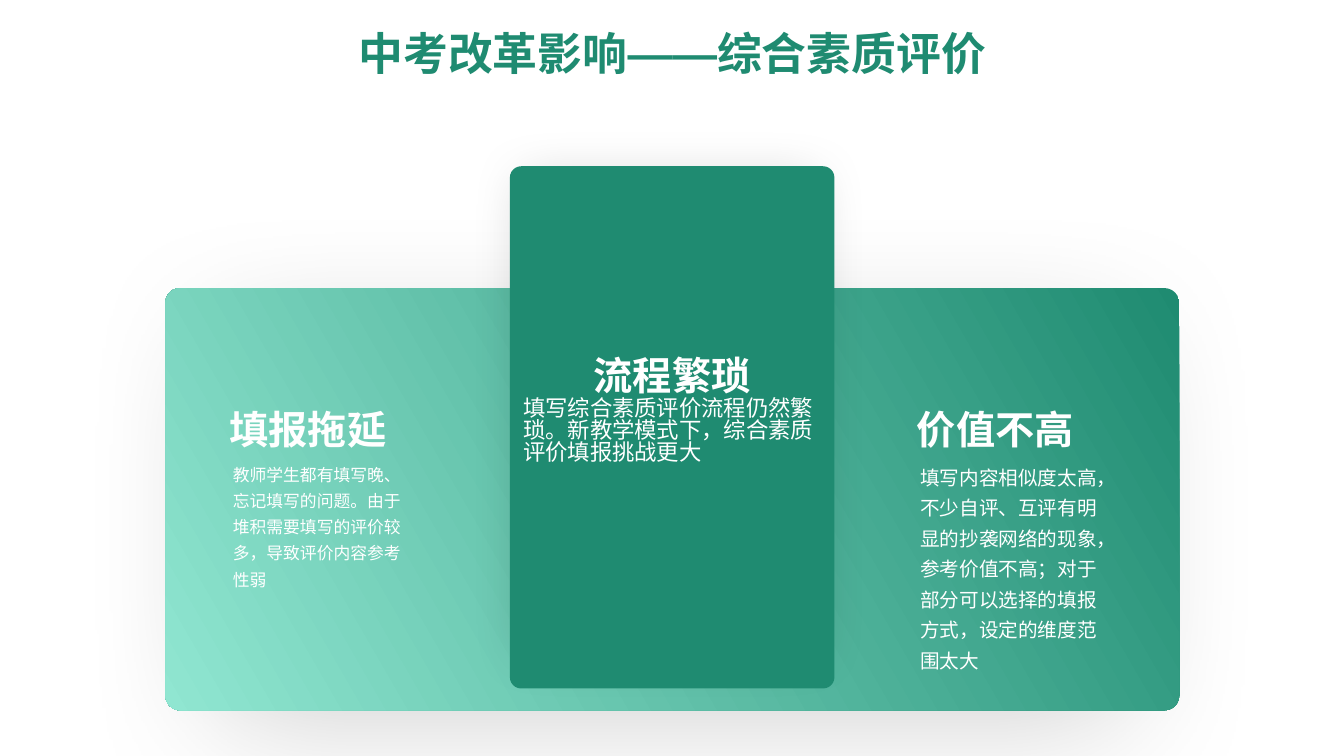
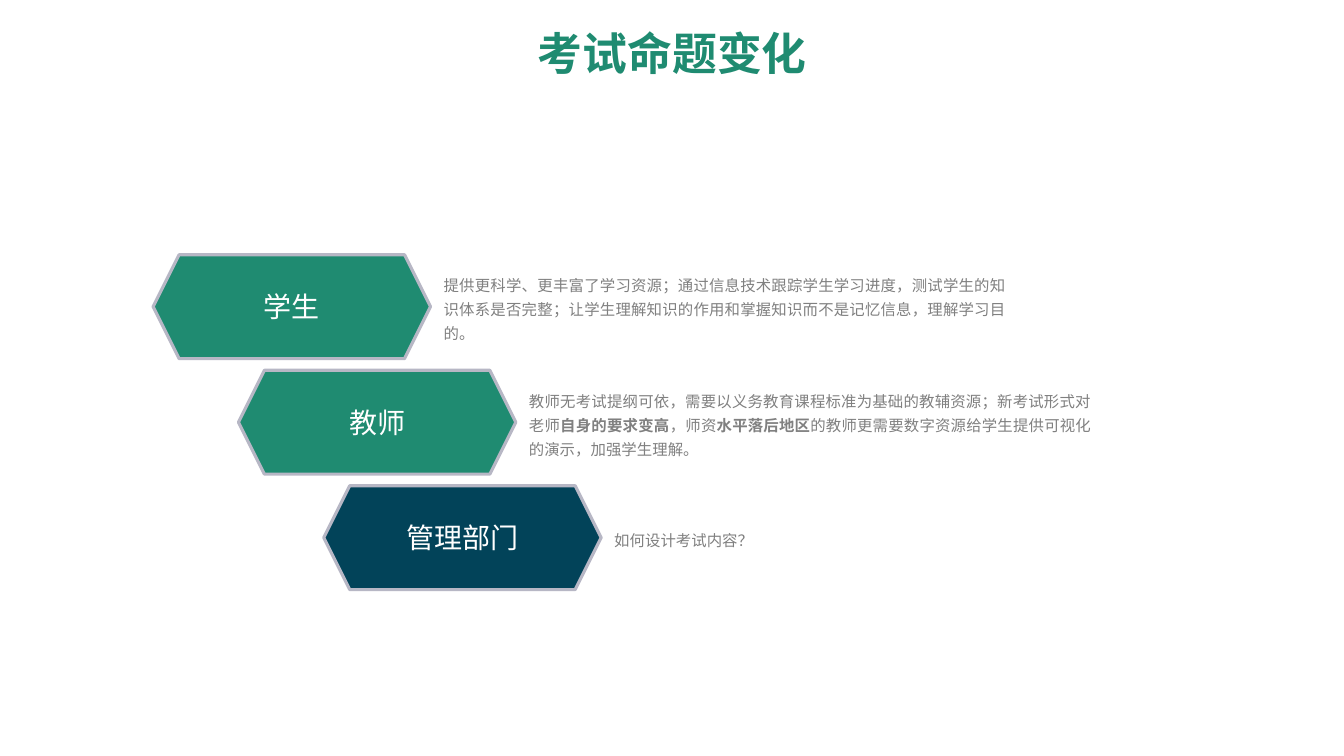
"""Build two slides on how the exam reform affects evaluation and test design."""
import lxml.etree
import pptx
import pptx.dml.color
import pptx.enum.shapes
import pptx.enum.text
import pptx.oxml.ns
import pptx.util

Cm = pptx.util.Cm
Pt = pptx.util.Pt
SHAPE = pptx.enum.shapes.MSO_SHAPE
ALIGN = pptx.enum.text.PP_ALIGN
ANCHOR = pptx.enum.text.MSO_ANCHOR
qn = pptx.oxml.ns.qn

COLORS = {
    "green": "1F8B71", "mint": "90E6D1", "navy": "024359", "white": "FFFFFF",
    "gray": "808080", "outline": "B7B7C5", "shadow": "000000",
}
TITLE_FONT = "Montserrat"
BODY_FONT = "Noto Sans CJK SC"
TITLE_BOX = (2.34, 0.58, 29.21, 1.68)

EVALUATION_TITLE = "中考改革影响——综合素质评价"
PANEL_BOX = (4.17, 7.26, 25.55, 10.64)
CARD_BOX = (12.85, 4.19, 8.18, 13.16)
CARD = ("流程繁琐", "填写综合素质评价流程仍然繁琐。新教学模式下，综合素质评价填报挑战更大")
SIDE_NOTES = [
    {"left": 5.54, "height": 3.53, "size": 12, "heading": "填报拖延",
     "body": "教师学生都有填写晚、忘记填写的问题。由于堆积需要填写的评价较多，导致评价内容参考性弱"},
    {"left": 22.86, "height": 6.4, "size": 14, "heading": "价值不高",
     "body": "填写内容相似度太高，不少自评、互评有明显的抄袭网络的现象，参考价值不高；"
             "对于部分可以选择的填报方式，设定的维度范围太大"},
]

EXAM_TITLE = "考试命题变化"
GROUPS = [
    {"name": "学生", "fill": "green", "height": 2.11, "runs": [
        ("提供更科学、更丰富了学习资源；通过信息技术跟踪学生学习进度，测试学生的知识体系是否完整；"
         "让学生理解知识的作用和掌握知识而不是记忆信息，理解学习目的。", False)]},
    {"name": "教师", "fill": "green", "height": 2.11, "runs": [
        ("教师无考试提纲可依，需要以义务教育课程标准为基础的教辅资源；新考试形式对老师", False),
        ("自身的要求变高", True),
        ("，师资", False),
        ("水平落后地区", True),
        ("的教师更需要数字资源给学生提供可视化的演示，加强学生理解。", False)]},
    {"name": "管理部门", "fill": "navy", "height": 0.89, "runs": [
        ("如何设计考试内容？", False)]},
]
HEX_LEFT, HEX_TOP, HEX_WIDTH, HEX_HEIGHT = 3.86, 6.42, 6.99, 2.62
STEP_X, STEP_Y = 2.15, 2.91
NOTE_WIDTH = 14.83


def rgb(name):
    return pptx.dml.color.RGBColor.from_string(COLORS[name])


def cm_box(box):
    return [Cm(value) for value in box]


def add_text(p, text, size, color="white", bold=False, font=BODY_FONT,
             align=None, spacing=None, after=None):
    """Append a formatted run to a paragraph."""
    if align is not None:
        p.alignment = align
    if spacing is not None:
        p.line_spacing = spacing
    if after is not None:
        p.space_after = Pt(after)
    r = p.add_run()
    r.text = text
    r.font.size = Pt(size)
    r.font.bold = bold
    r.font.name = font
    r.font.color.rgb = rgb(color)
    east_asian = lxml.etree.SubElement(r.font._element, qn("a:ea"))
    east_asian.set("typeface", font)


def pad(tf):
    tf.margin_left = tf.margin_right = Cm(0.33)
    tf.margin_top = tf.margin_bottom = Cm(0.18)


def add_titled_slide(prs, title):
    s = prs.slides.add_slide(prs.slide_layouts[5])
    sp = s.shapes.title
    sp.left, sp.top, sp.width, sp.height = cm_box(TITLE_BOX)
    tf = sp.text_frame
    tf.vertical_anchor = ANCHOR.MIDDLE
    add_text(tf.paragraphs[0], title, 32, color="green", bold=True,
             font=TITLE_FONT, align=ALIGN.CENTER, spacing=0.9)
    return s


def add_box(s, box):
    tf = s.shapes.add_textbox(*cm_box(box)).text_frame
    tf.word_wrap = True
    return tf


def add_panel(s, kind, box, fill=None):
    sp = s.shapes.add_shape(kind, *cm_box(box))
    sp.shadow.inherit = False
    sp.line.fill.background()
    if fill:
        sp.fill.solid()
        sp.fill.fore_color.rgb = rgb(fill)
    tf = sp.text_frame
    tf.word_wrap = True
    tf.vertical_anchor = ANCHOR.MIDDLE
    return sp


def add_shadow(sp, blur, distance):
    effects = sp._element.spPr.find(qn("a:effectLst"))
    outer = lxml.etree.SubElement(
        effects, qn("a:outerShdw"), blurRad=str(Pt(blur)), dist=str(Pt(distance)),
        dir="2700000", sx="90000", sy="90000", algn="tl", rotWithShape="0")
    color = lxml.etree.SubElement(outer, qn("a:srgbClr"), val=COLORS["shadow"])
    lxml.etree.SubElement(color, qn("a:alpha"), val="18000")


def build_evaluation(prs):
    s = add_titled_slide(prs, EVALUATION_TITLE)

    panel = add_panel(s, SHAPE.ROUNDED_RECTANGLE, PANEL_BOX)
    panel.fill.gradient()
    panel.fill.gradient_angle = 210
    for stop, name in zip(panel.fill.gradient_stops, ("green", "mint")):
        stop.color.rgb = rgb(name)
    card = add_panel(s, SHAPE.ROUNDED_RECTANGLE, CARD_BOX, "green")
    for sp, blur, distance in ((panel, 100, 51), (card, 38, 13)):
        sp.adjustments[0] = 0.035
        add_shadow(sp, blur, distance)

    tf = card.text_frame
    tf.margin_bottom = Cm(1.09)
    heading, body = CARD
    add_text(tf.paragraphs[0], heading, 28, bold=True, align=ALIGN.CENTER)
    add_text(tf.add_paragraph(), body, 16, align=ALIGN.LEFT, spacing=0.83)

    for note in SIDE_NOTES:
        left = note["left"]
        tf = add_box(s, (left, 10.08, 5.13, 1.45))
        add_text(tf.paragraphs[0], note["heading"], 28, bold=True)
        tf = add_box(s, (left + 0.08, 11.43, 5.13, note["height"]))
        add_text(tf.paragraphs[0], note["body"], note["size"], spacing=1.3)


def build_exam(prs):
    s = add_titled_slide(prs, EXAM_TITLE)
    for i, group in enumerate(GROUPS):
        left, top = HEX_LEFT + i * STEP_X, HEX_TOP + i * STEP_Y
        sp = add_panel(s, SHAPE.HEXAGON, (left, top, HEX_WIDTH, HEX_HEIGHT), group["fill"])
        sp.line.color.rgb = rgb("outline")
        sp.line.width = Pt(2.25)
        pad(sp.text_frame)
        add_text(sp.text_frame.paragraphs[0], group["name"], 20, align=ALIGN.CENTER)

        note_top = top + (HEX_HEIGHT - group["height"]) / 2
        tf = add_box(s, (left + HEX_WIDTH, note_top, NOTE_WIDTH, group["height"]))
        tf.vertical_anchor = ANCHOR.MIDDLE
        pad(tf)
        for text, bold in group["runs"]:
            add_text(tf.paragraphs[0], text, 11, color="gray", bold=bold,
                     align=ALIGN.JUSTIFY, spacing=1.3, after=8)


def main():
    prs = pptx.Presentation()
    prs.slide_width, prs.slide_height = Cm(33.87), Cm(19.05)
    build_evaluation(prs)
    build_exam(prs)
    prs.save("out.pptx")


if __name__ == "__main__":
    main()
